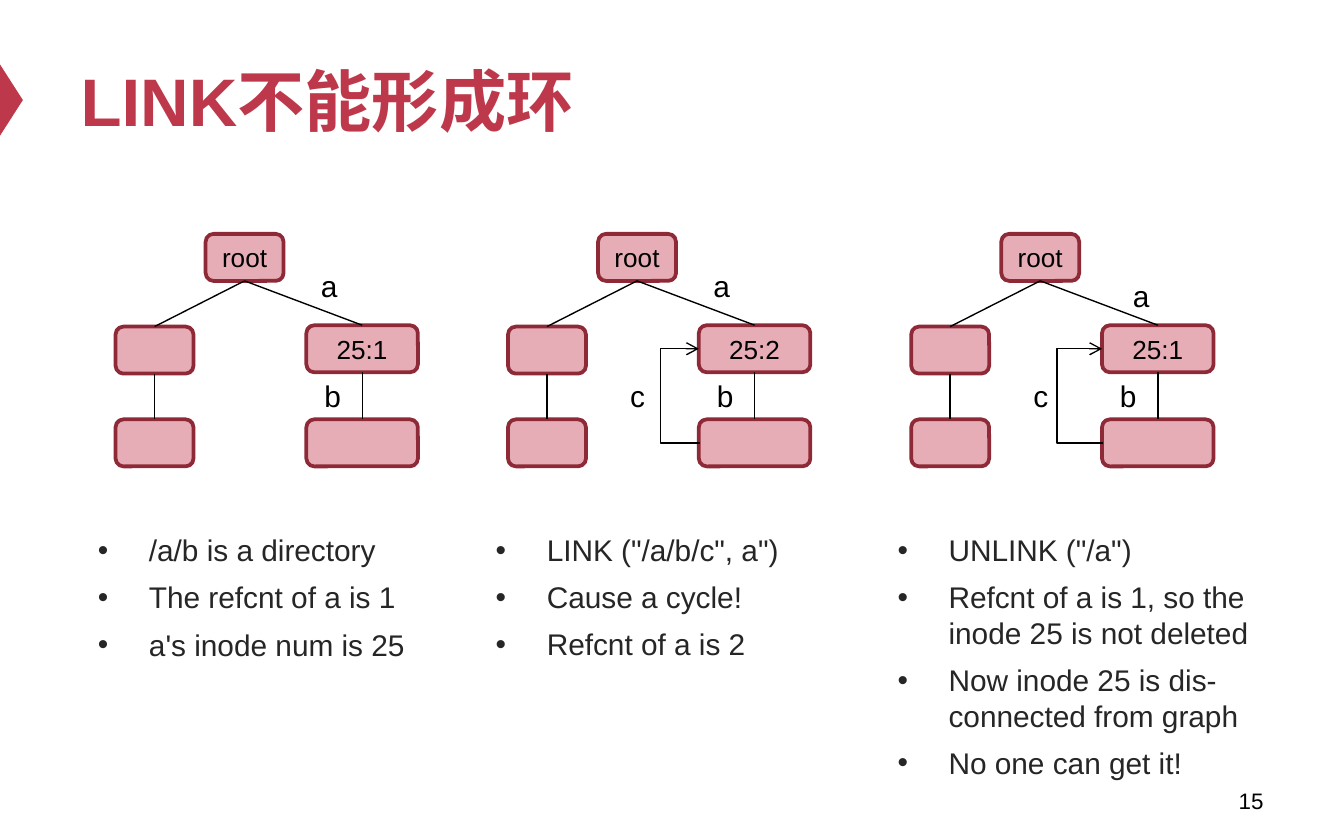
from lxml import etree
from pptx import Presentation
from pptx.dml.color import RGBColor
from pptx.enum import shapes, text
from pptx.oxml.ns import qn
from pptx.util import Inches, Pt

COLORS = {"accent": "BE384B", "node": "E7ADB6", "border": "8E2A38",
          "ink": "000000", "body": "262626"}
FONT = "Arial"
NODE_HEIGHT = 0.35
ROOT_TOP, CHILD_TOP, LEAF_TOP = 1.74, 2.43, 3.12
SMALL, WIDE = 0.58, 0.83
ROOT_X, RIGHT_X = 0.67, 1.42

# "left" is the left edge of the tree; "loop" is the distance to the cycle line
TREES = [
    {"left": 0.86, "inode": "25:1", "a_top": 1.94, "a_x": 1.09, "loop": None,
     "notes": (0.63, 2.79, 1.08),
     "lines": ["/a/b is a directory", "The refcnt of a is 1",
               "a's inode num is 25"]},
    {"left": 3.78, "inode": "25:2", "a_top": 1.94, "a_x": 1.09, "loop": 1.13,
     "notes": (3.59, 2.75, 1.43),
     "lines": ['LINK ("/a/b/c", a")', "Cause a cycle!", "Refcnt of a is 2"]},
    {"left": 6.78, "inode": "25:1", "a_top": 2.02, "a_x": 1.21, "loop": 1.08,
     "notes": (6.58, 3.3, 1.97),
     "lines": ['UNLINK ("/a")',
               "Refcnt of a is 1, so the inode 25 is not deleted",
               "Now inode 25 is dis-connected from graph",
               "No one can get it!"]},
]


def rgb(name):
    return RGBColor.from_string(COLORS[name])


def write(paragraph, content, size, color="ink", bold=False,
          align=text.PP_ALIGN.CENTER):
    paragraph.alignment = align
    run = paragraph.add_run()
    run.text = content
    values = {"name": FONT, "size": Pt(size), "bold": bold}
    for attribute, value in values.items():
        setattr(run.font, attribute, value)
    run.font.color.rgb = rgb(color)


def add_title(slide, content):
    title = slide.shapes.title
    box = {"left": 0.5, "top": 0.25, "width": 9, "height": 0.98}
    for attribute, value in box.items():
        setattr(title, attribute, Inches(value))
    title.text_frame.auto_size = text.MSO_AUTO_SIZE.NONE
    title.text_frame.vertical_anchor = text.MSO_ANCHOR.MIDDLE
    write(title.text_frame.paragraphs[0], content, 36, "accent", True,
          text.PP_ALIGN.LEFT)


def add_marker(slide):
    marker = slide.shapes.add_shape(
        shapes.MSO_SHAPE.ISOSCELES_TRIANGLE,
        Inches(-0.18), Inches(0.66), Inches(0.53), Inches(0.17))
    marker.rotation = 90
    marker.shadow.inherit = False
    marker.fill.solid()
    marker.fill.fore_color.rgb = rgb("accent")
    marker.line.fill.background()


def add_text_box(slide, left, top, width, height):
    box = slide.shapes.add_textbox(*map(Inches, (left, top, width, height)))
    box.text_frame.word_wrap = True
    return box.text_frame


def add_label(slide, content, left, top, width):
    frame = add_text_box(slide, left, top, width, 0.37)
    write(frame.paragraphs[0], content, 16)


def add_page_number(slide, number):
    frame = add_text_box(slide, 7.17, 5.79, 2.33, 0.33)
    frame.vertical_anchor = text.MSO_ANCHOR.MIDDLE
    write(frame.paragraphs[0], number, 12, align=text.PP_ALIGN.RIGHT)


def add_bullets(slide, left, width, height, lines):
    frame = add_text_box(slide, left, 3.91, width, height)
    for index, line in enumerate(lines):
        paragraph = frame.add_paragraph() if index else frame.paragraphs[0]
        properties = paragraph._p.get_or_add_pPr()
        properties.set("marL", str(Inches(0.38)))
        properties.set("indent", str(-Inches(0.38)))
        etree.SubElement(properties, qn("a:buFont"), typeface=FONT)
        etree.SubElement(properties, qn("a:buChar"), char="•")
        paragraph.space_before = Pt(6 if index else 0)
        write(paragraph, line, 16, "body", align=text.PP_ALIGN.LEFT)


def add_node(slide, left, top, width, content=""):
    node = slide.shapes.add_shape(
        shapes.MSO_SHAPE.ROUNDED_RECTANGLE,
        Inches(left), Inches(top), Inches(width), Inches(NODE_HEIGHT))
    node.shadow.inherit = False
    node.fill.solid()
    node.fill.fore_color.rgb = rgb("node")
    node.line.color.rgb = rgb("border")
    node.line.width = Pt(2)
    if content:
        frame = node.text_frame
        frame.word_wrap = False
        frame.vertical_anchor = text.MSO_ANCHOR.MIDDLE
        write(frame.paragraphs[0], content, 14)


def add_line(slide, start, end, kind=shapes.MSO_CONNECTOR.STRAIGHT):
    line = slide.shapes.add_connector(kind, *map(Inches, (*start, *end)))
    line.line.color.rgb = rgb("ink")
    line.line.width = Pt(0.75)
    etree.SubElement(line._element.spPr, qn("a:effectLst"))
    return line


def add_cycle(slide, node_left, line_x):
    """Lead from the leaf's left side round to an arrow on its parent."""
    step = 0.01
    middle = NODE_HEIGHT / 2
    line = add_line(slide, (node_left, CHILD_TOP + middle - step),
                    (node_left + step, LEAF_TOP + middle),
                    shapes.MSO_CONNECTOR.ELBOW)
    properties = line._element.spPr
    properties.find(qn("a:xfrm")).set("rot", "10800000")
    bend = round((node_left + step - line_x) / step * 100000)
    guides = properties.find(qn("a:prstGeom")).find(qn("a:avLst"))
    etree.SubElement(guides, qn("a:gd"), name="adj1", fmla=f"val {bend}")
    etree.SubElement(properties.find(qn("a:ln")), qn("a:tailEnd"),
                     type="arrow")


def add_tree(slide, tree):
    left = tree["left"]
    right = left + RIGHT_X
    add_node(slide, left + ROOT_X, ROOT_TOP, SMALL, "root")
    root_bottom = (left + ROOT_X + SMALL / 2, ROOT_TOP + NODE_HEIGHT)
    for x, width, inode in ((left, SMALL, ""), (right, WIDE, tree["inode"])):
        center = x + width / 2
        child_top = CHILD_TOP - 0.01 if inode else CHILD_TOP
        add_node(slide, x, child_top, width, inode)
        add_node(slide, x, LEAF_TOP, width)
        add_line(slide, root_bottom, (center, child_top))
        add_line(slide, (center, child_top + NODE_HEIGHT), (center, LEAF_TOP))
    add_label(slide, "a", left + tree["a_x"], tree["a_top"], 1)
    add_label(slide, "b", left + 1.25, 2.76, 0.73)
    if tree["loop"]:
        add_cycle(slide, right, left + tree["loop"])
        add_label(slide, "c", left + 0.6, 2.76, 0.73)


def main():
    presentation = Presentation()
    presentation.slide_width = Inches(10)
    presentation.slide_height = Inches(6.25)
    slide = presentation.slides.add_slide(presentation.slide_layouts[5])
    add_marker(slide)
    add_title(slide, "LINK不能形成环")
    for tree in TREES:
        add_tree(slide, tree)
        add_bullets(slide, *tree["notes"], tree["lines"])
    add_page_number(slide, "15")
    presentation.save("out.pptx")


if __name__ == "__main__":
    main()
